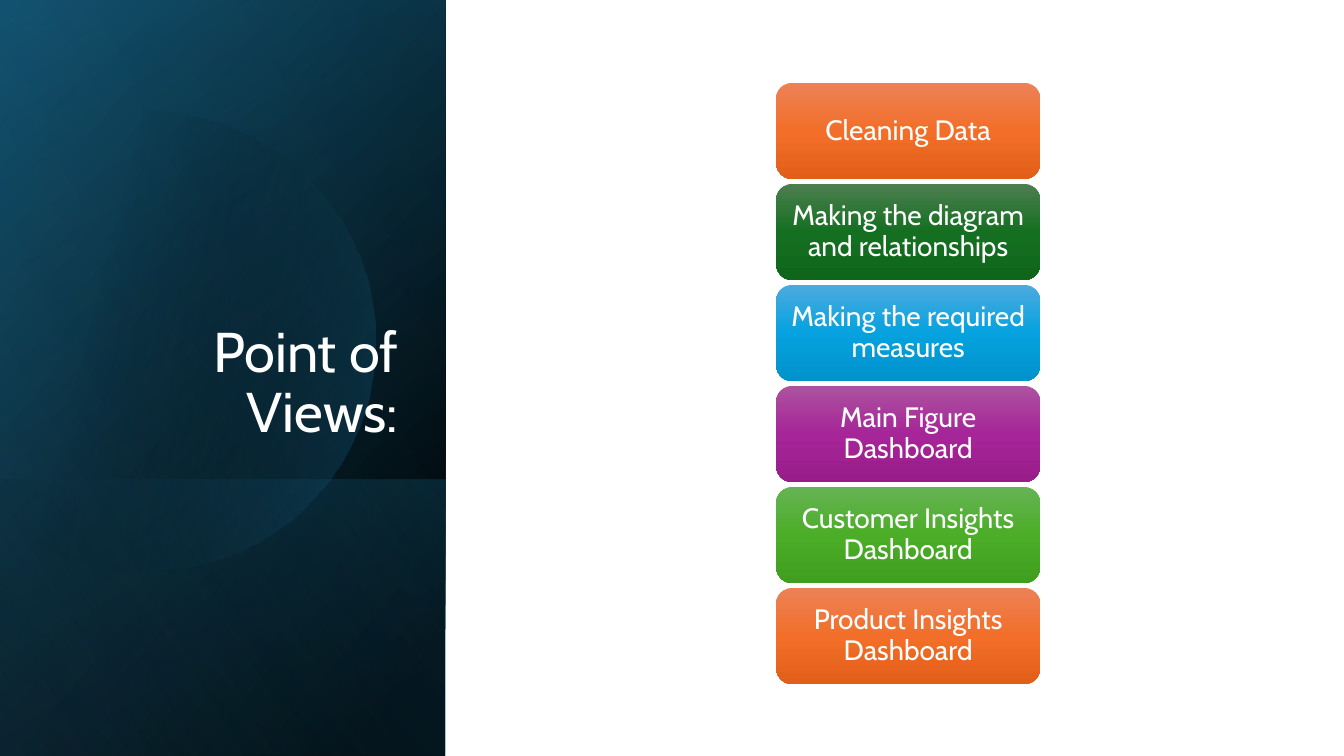
"""Build the "Point of Views" slide: a dark title panel and a stack of topics."""
import math

import lxml.etree
import pptx
import pptx.util
from pptx.enum.shapes import MSO_SHAPE
from pptx.enum.text import MSO_ANCHOR, PP_ALIGN
from pptx.dml.color import RGBColor
from pptx.oxml.ns import qn

Pt = pptx.util.Pt
FONT = "Cabin"
SLIDE_WIDTH, SLIDE_HEIGHT = 960, 540
PANEL_WIDTH = 318.24
BAND_TOP = 342.72
COLORS = {
    "white": "FFFFFF",
    "black": "000000",
    "navy": "104862",
    "teal": "156082",
    "sky": "46B1E1",
}
BOX_SHADES = {
    "orange": ("ED8257", "F26E29", "E25F1A"),
    "forest": ("4D7E50", "156F21", "0F661B"),
    "blue": ("4CAADF", "05A2DF", "0092CB"),
    "purple": ("AC53A0", "A62598", "991C8B"),
    "green": ("66B354", "4BAD28", "409F1E"),
}
TOPICS = [
    ("Cleaning Data", "orange"),
    ("Making the diagram and relationships", "forest"),
    ("Making the required measures", "blue"),
    ("Main Figure Dashboard", "purple"),
    ("Customer Insights Dashboard", "green"),
    ("Product Insights Dashboard", "orange"),
]
BOX_LEFT, BOX_TOP, BOX_WIDTH, BOX_HEIGHT, BOX_PITCH = 554.4, 59.2, 188.64, 68.7, 72.15


def fill_gradient(shape, stops, angle):
    """Give a shape a linear gradient of (position, colour, opacity) stops and no line."""
    shape.shadow.inherit = False
    shape.line.fill.background()
    shape.fill.background()
    gradient = lxml.etree.Element(qn("a:gradFill"), rotWithShape="1")
    stop_list = lxml.etree.SubElement(gradient, qn("a:gsLst"))
    for position, color, opacity in stops:
        stop = lxml.etree.SubElement(stop_list, qn("a:gs"), pos=str(position * 1000))
        value = lxml.etree.SubElement(stop, qn("a:srgbClr"), val=color)
        if opacity < 100:
            lxml.etree.SubElement(value, qn("a:alpha"), val=str(opacity * 1000))
    lxml.etree.SubElement(gradient, qn("a:lin"), ang=str(angle * 60000), scaled="0")
    properties = shape.element.spPr
    properties.replace(properties.find(qn("a:noFill")), gradient)


def add_panel(slide, top, height, stops, angle):
    """Add a mirrored, quarter-turned rectangle that covers the left panel from top."""
    left = (PANEL_WIDTH - height) / 2
    turned_top = top + (height - PANEL_WIDTH) / 2
    shape = slide.shapes.add_shape(
        MSO_SHAPE.RECTANGLE, Pt(left), Pt(turned_top), Pt(height), Pt(PANEL_WIDTH))
    shape.rotation = 90
    shape.element.spPr.find(qn("a:xfrm")).set("flipH", "1")
    fill_gradient(shape, stops, angle)


def add_disc(slide, center_x, center_y, radius, stops, angle):
    """Add a disc cut off by the left edge of the slide."""
    limit = math.acos(-center_x / radius)
    steps = 120
    angles = [limit * (2 * step / steps - 1) for step in range(steps + 1)]
    points = [(center_x + radius * math.cos(turn), center_y + radius * math.sin(turn))
              for turn in angles]
    builder = slide.shapes.build_freeform(*points[0], scale=float(Pt(1)))
    builder.add_line_segments(points[1:], close=True)
    fill_gradient(builder.convert_to_shape(), stops, angle)


def write_text(shape, text, size, alignment, anchor):
    """Write one wrapped paragraph into a shape."""
    frame = shape.text_frame
    frame.word_wrap = True
    frame.vertical_anchor = anchor
    paragraph = frame.paragraphs[0]
    paragraph.alignment = alignment
    paragraph.line_spacing = 0.9
    run = paragraph.add_run()
    run.text = text
    run.font.name = FONT
    run.font.size = Pt(size)
    run.font.color.rgb = RGBColor.from_string(COLORS["white"])


def add_title(slide, text):
    """Add the right-aligned title on the dark panel."""
    title = slide.shapes.add_textbox(Pt(46.08), Pt(132.48), Pt(245.52), Pt(188.64))
    write_text(title, text, 40, PP_ALIGN.RIGHT, MSO_ANCHOR.BOTTOM)


def add_topic(slide, index, text, shade):
    """Add one rounded topic box at its place in the stack."""
    box = slide.shapes.add_shape(
        MSO_SHAPE.ROUNDED_RECTANGLE, Pt(BOX_LEFT), Pt(BOX_TOP + index * BOX_PITCH),
        Pt(BOX_WIDTH), Pt(BOX_HEIGHT))
    stops = [(position, color, 100)
             for position, color in zip((0, 50, 100), BOX_SHADES[shade])]
    fill_gradient(box, stops, 90)
    frame = box.text_frame
    frame.margin_left = frame.margin_right = Pt(5)
    frame.margin_top = frame.margin_bottom = Pt(3)
    write_text(box, text, 20, PP_ALIGN.CENTER, MSO_ANCHOR.MIDDLE)


def main():
    """Build and save the slide."""
    presentation = pptx.Presentation()
    presentation.slide_width = Pt(SLIDE_WIDTH)
    presentation.slide_height = Pt(SLIDE_HEIGHT)
    slide = presentation.slides.add_slide(presentation.slide_layouts[6])
    black, navy, teal, sky = (COLORS[name] for name in ("black", "navy", "teal", "sky"))
    add_panel(slide, 0, SLIDE_HEIGHT, [(8, black, 100), (100, navy, 100)], 50)
    add_panel(slide, 0, SLIDE_HEIGHT, [(0, black, 0), (99, teal, 46)], 30)
    add_panel(slide, BAND_TOP, SLIDE_HEIGHT - BAND_TOP,
              [(2, teal, 29), (100, black, 30)], 130)
    add_disc(slide, 103.7, 243.7, 164.5, [(29, black, 0), (100, teal, 43)], 14)
    add_panel(slide, 0, SLIDE_HEIGHT, [(0, black, 0), (99, sky, 11)], 120)
    add_title(slide, "Point of Views:")
    for index, (text, shade) in enumerate(TOPICS):
        add_topic(slide, index, text, shade)
    presentation.save("out.pptx")


if __name__ == "__main__":
    main()
